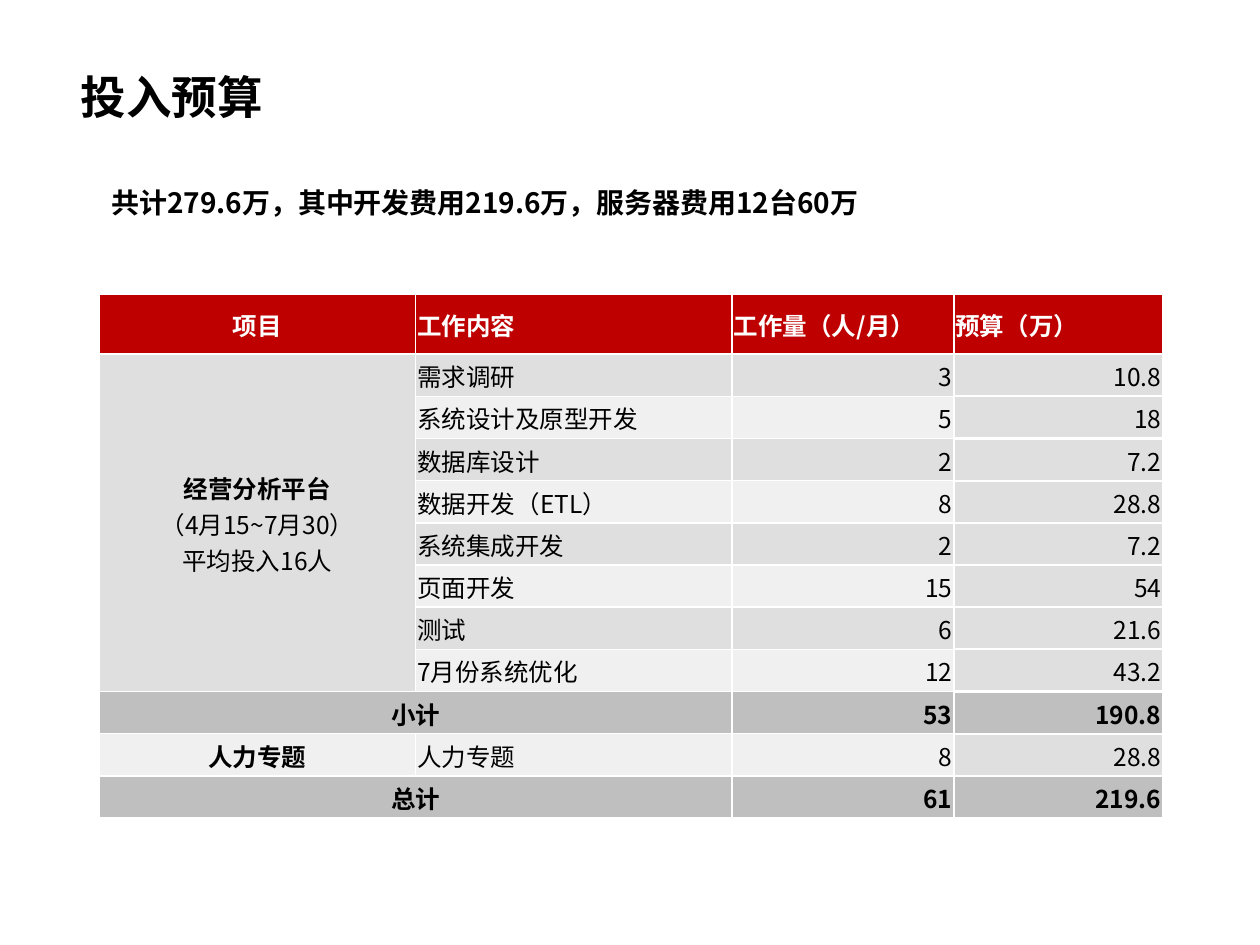
"""Build the project budget slide: a title, a summary line and the budget table."""
import lxml.etree
import pptx
import pptx.dml.color
import pptx.enum.text
import pptx.oxml.ns
import pptx.util

Cm, Pt, qn = pptx.util.Cm, pptx.util.Pt, pptx.oxml.ns.qn
ALIGN, ANCHOR = pptx.enum.text.PP_ALIGN, pptx.enum.text.MSO_ANCHOR
FONT = "Noto Sans CJK SC"
COLUMN_WIDTHS = (6.38, 6.38, 4.47, 4.21)
HEADER_HEIGHT, ROW_HEIGHT = 1.2, 0.85
ROWS = (
    ("项目", "工作内容", "工作量（人/月）", "预算（万）"),
    ("经营分析平台", "需求调研", "3", "10.8"),
    ("", "系统设计及原型开发", "5", "18"),
    ("", "数据库设计", "2", "7.2"),
    ("", "数据开发（ETL）", "8", "28.8"),
    ("", "系统集成开发", "2", "7.2"),
    ("", "页面开发", "15", "54"),
    ("", "测试", "6", "21.6"),
    ("", "7月份系统优化", "12", "43.2"),
    ("小计", "", "53", "190.8"),
    ("人力专题", "人力专题", "8", "28.8"),
    ("总计", "", "61", "219.6"),
)


def rgb(value):
    """Return the colour for a hex string."""
    return pptx.dml.color.RGBColor.from_string(value)


def style(paragraph, size, bold, color="000000", align=ALIGN.LEFT):
    """Set the alignment and font of a paragraph."""
    paragraph.alignment = align
    paragraph.font.size = Pt(size)
    paragraph.font.bold = bold
    paragraph.font.color.rgb = rgb(color)
    paragraph.font.name = FONT
    defaults = paragraph._p.pPr.find(qn("a:defRPr"))
    lxml.etree.SubElement(defaults, qn("a:ea"), typeface=FONT)


deck = pptx.Presentation()
deck.slide_width, deck.slide_height = Cm(25.4), Cm(19.05)
slide = deck.slides.add_slide(deck.slide_layouts[5])

heading = slide.shapes.title
heading.left, heading.top, heading.width, heading.height = Cm(1.37), Cm(1.52), Cm(18.11), Cm(1.52)
summary = slide.shapes.add_textbox(Cm(2), Cm(3.73), Cm(22.63), Cm(1.12))
for box, text, size, inset in (
    (heading, "投入预算", 26, 0),
    (summary, "共计279.6万，其中开发费用219.6万，服务器费用12台60万", 16, 0.08),
):
    frame = box.text_frame
    frame.text = text
    frame.word_wrap = True
    frame.vertical_anchor = ANCHOR.TOP
    frame.margin_top = Cm(inset)
    frame.paragraphs[0].line_spacing = 0.9
    style(frame.paragraphs[0], size, True)

table_height = HEADER_HEIGHT + ROW_HEIGHT * (len(ROWS) - 1)
budget = slide.shapes.add_table(
    len(ROWS), len(COLUMN_WIDTHS), Cm(2), Cm(5.94), Cm(sum(COLUMN_WIDTHS)), Cm(table_height)
).table
for column, width in zip(budget.columns, COLUMN_WIDTHS):
    column.width = Cm(width)

for r, row in enumerate(ROWS):
    header, total = r == 0, row[0] in ("小计", "总计")
    budget.rows[r].height = Cm(ROW_HEIGHT if r else HEADER_HEIGHT)
    for c, text in enumerate(row):
        cell = budget.cell(r, c)
        cell.vertical_anchor = ANCHOR.MIDDLE
        cell.margin_left = cell.margin_right = cell.margin_top = Cm(0.03)
        cell.margin_bottom = Cm(0)
        if header:
            fill = "BF0000"
        elif total:
            fill = "BFBFBF"
        else:
            fill = "DFDFDF" if r % 2 or c == 3 else "F0F0F0"
        cell.fill.solid()
        cell.fill.fore_color.rgb = rgb(fill)

        top = 1.5 if r == 1 or (c == 3 and r) else 1
        bottom = 1.5 if header or (c == 3 and r < len(ROWS) - 1) else 1
        edges = (("a:lnL", 1), ("a:lnR", 1), ("a:lnT", top), ("a:lnB", bottom))
        for position, (edge, weight) in enumerate(edges):
            line = lxml.etree.Element(qn(edge), w=str(Pt(weight)))
            paint = lxml.etree.SubElement(line, qn("a:solidFill"))
            lxml.etree.SubElement(paint, qn("a:srgbClr"), val="FFFFFF")
            cell._tc.get_or_add_tcPr().insert(position, line)

        if text:
            if c == 0:
                align = ALIGN.CENTER
            else:
                align = ALIGN.RIGHT if c > 1 and not header else ALIGN.LEFT
            cell.text = text
            bold = header or total or c == 0
            style(cell.text_frame.paragraphs[0], 14, bold, "FFFFFF" if header else "000000", align)
    if total:
        budget.cell(r, 0).merge(budget.cell(r, 1))

platform = budget.cell(1, 0)
platform.merge(budget.cell(8, 0))
platform_label = platform.text_frame.paragraphs[0]
for detail in ("（4月15~7月30）", "平均投入16人"):
    platform_label.add_line_break()
    run = platform_label.add_run()
    run.text = detail
    run.font.bold = False

deck.save("out.pptx")
